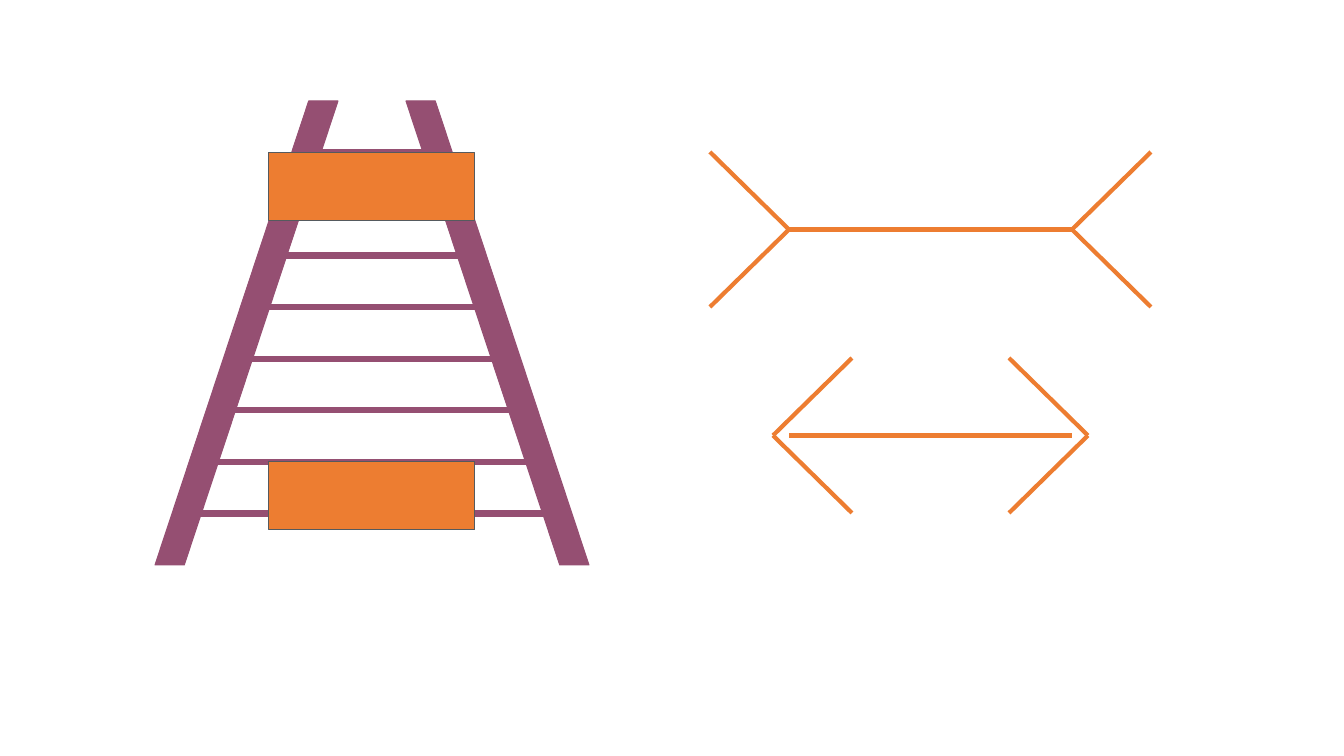
from lxml import etree
from pptx import Presentation
from pptx import util as u
from pptx.dml.color import RGBColor
from pptx.enum import shapes
from pptx.oxml import ns

SCALE = 914400 / 100.8
PLUM = RGBColor(0x95, 0x4F, 0x72)
ORANGE = RGBColor(0xED, 0x7D, 0x31)
GREY = RGBColor(0x55, 0x5A, 0x5E)


def px(value):
    return u.Emu(round(value * SCALE))


def add_block(group, kind, box, fill, outline):
    block = group.shapes.add_shape(kind, *map(px, box))
    block.shadow.inherit = False
    block.fill.solid()
    block.fill.fore_color.rgb = fill
    block.line.color.rgb = outline
    block.line.width = u.Pt(0.75)
    return block


def add_stroke(group, start, end, color, width):
    stroke = group.shapes.add_connector(
        shapes.MSO_CONNECTOR.STRAIGHT, *map(px, (*start, *end)))
    stroke.line.color.rgb = color
    stroke.line.width = u.Pt(width)
    etree.SubElement(stroke.element.spPr, ns.qn("a:effectLst"))


def draw_railway(page, box):
    left, top, width, height = box
    group = page.shapes.add_group_shape()
    rail_width = 183
    for rail_left, mirrored in ((left, False), (left + width - rail_width, True)):
        rail = add_block(group, shapes.MSO_SHAPE.PARALLELOGRAM,
                         (rail_left, top, rail_width, height), PLUM, PLUM)
        rail.adjustments[0] = 0.84
        if mirrored:
            rail.element.spPr.find(ns.qn("a:xfrm")).set("flipH", "1")

    step = height / 9
    sleepers = {8: (22, 389), 7: (46, 389), 6: (69, 366), 5: (91, 343),
                4: (114, 321), 3: (114, 321), 1: (161, 274)}
    for row, (start, end) in sleepers.items():
        y = top + row * step
        add_stroke(group, (left + start, y), (left + end, y), PLUM, 4.5)

    for row in (7, 1):
        add_block(group, shapes.MSO_SHAPE.RECTANGLE,
                  (left + 114, top + row * step, 206, 68), ORANGE, GREY)


def draw_fin_line(page, box, joint_inset, tip_inset, shaft_inset):
    left, top, width, height = box
    right, middle = left + width, top + height / 2
    group = page.shapes.add_group_shape()
    for edge, inward in ((right, -1), (left, 1)):
        joint = (edge + inward * joint_inset, middle)
        for tip_y in (top, top + height):
            add_stroke(group, (edge + inward * tip_inset, tip_y), joint, ORANGE, 3)
    add_stroke(group, (right - shaft_inset, middle), (left + shaft_inset, middle),
               ORANGE, 3)


deck = Presentation()
deck.slide_width, deck.slide_height = px(1344), px(756)
page = deck.slides.add_slide(deck.slide_layouts[6])
draw_railway(page, (155, 101, 434, 464))
draw_fin_line(page, (710, 152, 441, 155), joint_inset=79, tip_inset=0, shaft_inset=79)
draw_fin_line(page, (773, 358, 315, 155), joint_inset=0, tip_inset=79, shaft_inset=16)
deck.save("out.pptx")
